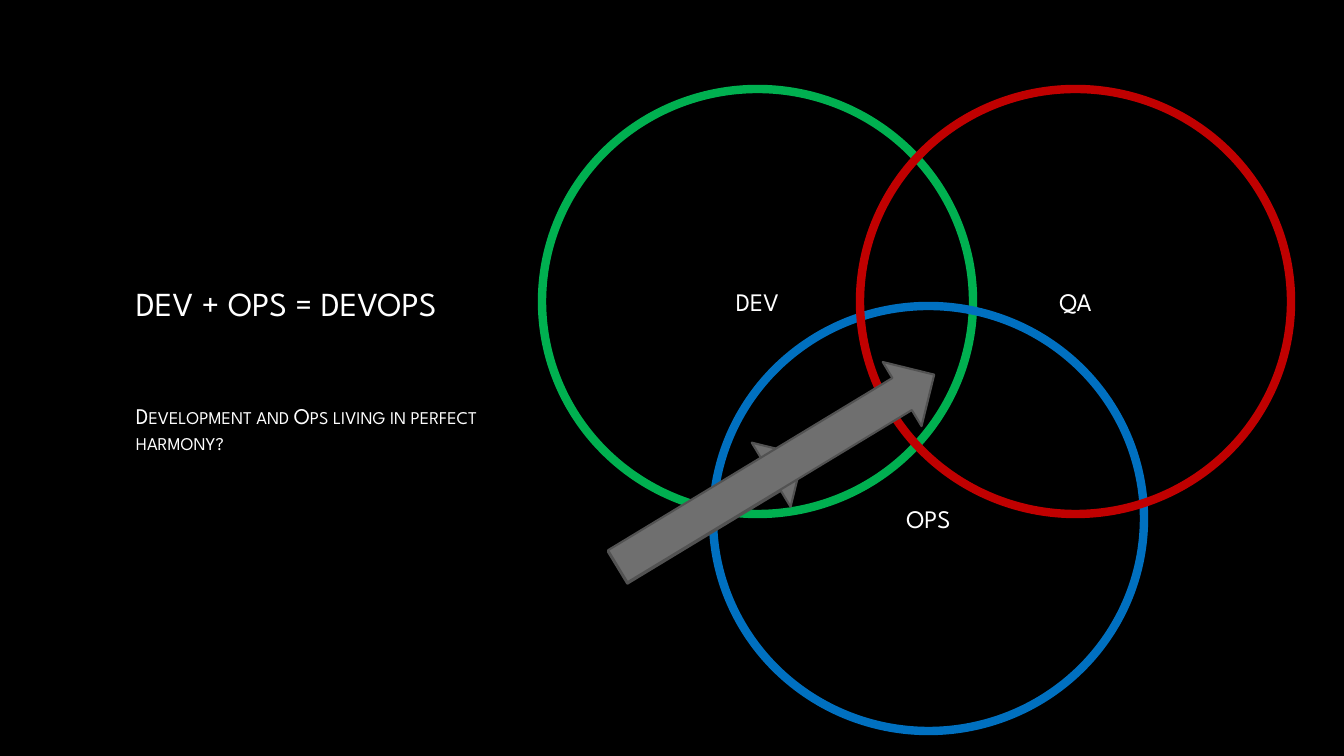
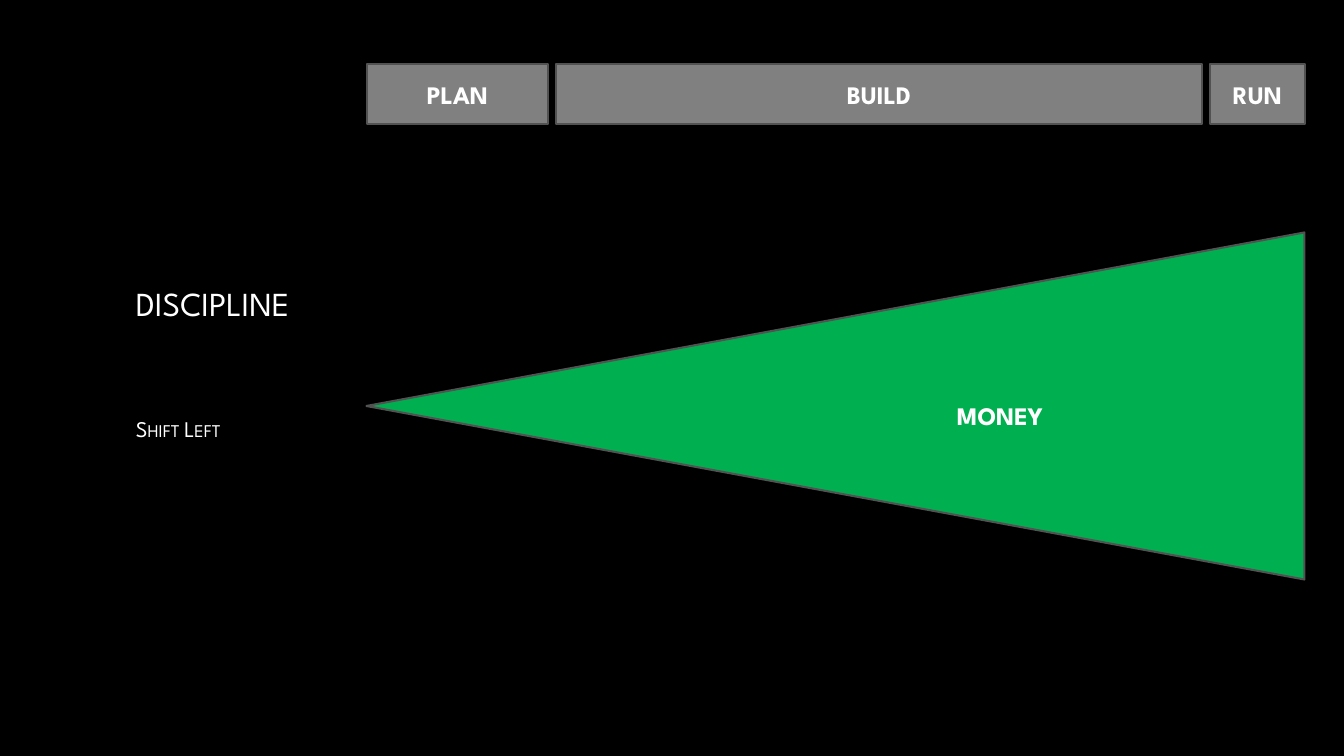
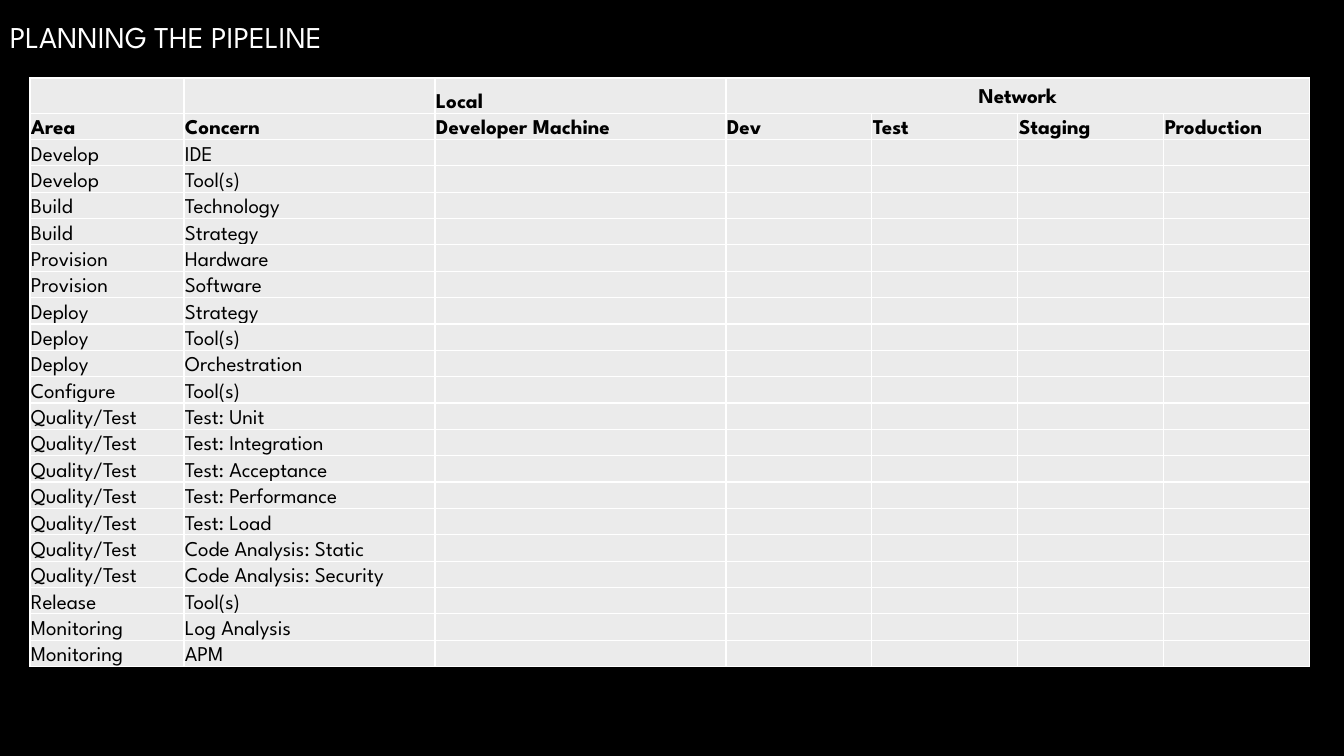
from lxml import etree
from pptx import Presentation, util as u
from pptx.dml.color import RGBColor
from pptx.enum import shapes, text
from pptx.oxml.ns import qn

PX = 914400 / 100.8  # EMU per px
FONT = "League Spartan"
WHITE, BLACK = "FFFFFF", "000000"
GREEN, BLUE, RED = "00B050", "0070C0", "C00000"
GRAY, ARROW_GRAY, OUTLINE, CELL_GRAY = "808080", "6F6F6F", "525252", "EBEBEB"

SHAPE = shapes.MSO_SHAPE
ANCHOR = text.MSO_ANCHOR
ALIGN = text.PP_ALIGN

COLUMNS = [154, 251, 291, 146, 146, 146, 146]
HEADINGS = [
    ["", "", "Local", "Network"],
    ["Area", "Concern", "Developer Machine", "Dev", "Test", "Staging", "Production"],
]
CONCERNS = {
    "Develop": ["IDE", "Tool(s)"],
    "Build": ["Technology", "Strategy"],
    "Provision": ["Hardware", "Software"],
    "Deploy": ["Strategy", "Tool(s)", "Orchestration"],
    "Configure": ["Tool(s)"],
    "Quality/Test": ["Test: Unit", "Test: Integration", "Test: Acceptance",
                     "Test: Performance", "Test: Load",
                     "Code Analysis: Static", "Code Analysis: Security"],
    "Release": ["Tool(s)"],
    "Monitoring": ["Log Analysis", "APM"],
}


def px(n):
    return u.Emu(round(n * PX))


def rgb(value):
    return RGBColor.from_string(value)


def write(tf, words, size, color=WHITE, bold=False, align=ALIGN.LEFT):
    p = tf.paragraphs[0]
    p.text = words
    p.alignment = align
    p.font.name = FONT
    p.font.size = u.Pt(size)
    p.font.bold = bold
    p.font.color.rgb = rgb(color)
    return p


def add_text(s, box, words, size, anchor=ANCHOR.TOP, wrap=True, bold=False):
    tf = s.shapes.add_textbox(*map(px, box)).text_frame
    tf.word_wrap = wrap
    tf.vertical_anchor = anchor
    return write(tf, words, size, bold=bold)


def add_title(s, words, box=(126, 176, 391, 152), size=24):
    add_text(s, box, words, size, ANCHOR.BOTTOM)


def add_subtitle(s, words):
    p = add_text(s, (126, 328, 391, 201), words, 16, ANCHOR.MIDDLE)
    p.line_spacing = u.Pt(19.2)
    p._p.get_or_add_pPr().get_or_add_defRPr().set("cap", "small")


def add_shape(s, kind, box, fill=None, line=OUTLINE, width=1.5, rotation=0,
              label=None, bold=False):
    sp = s.shapes.add_shape(kind, *map(px, box))
    sp.shadow.inherit = False
    sp.rotation = rotation
    if fill:
        sp.fill.solid()
        sp.fill.fore_color.rgb = rgb(fill)
    else:
        sp.fill.background()
    sp.line.color.rgb = rgb(line)
    sp.line.width = u.Pt(width)
    if label:
        sp.text_frame.vertical_anchor = ANCHOR.MIDDLE
        write(sp.text_frame, label, 18, bold=bold, align=ALIGN.CENTER)


def add_circle(s, x, y, label, color):
    add_shape(s, SHAPE.OVAL, (x, y, 431, 425), line=color, width=6, label=label)


def add_arrow(s, x, y, length):
    add_shape(s, SHAPE.RIGHT_ARROW, (x, y, length, 75), ARROW_GRAY, rotation=328.8)


def set_borders(cell, color):
    tcPr = cell._tc.get_or_add_tcPr()
    for i, side in enumerate(("lnL", "lnR", "lnT", "lnB")):
        ln = etree.Element(qn(f"a:{side}"), w=str(u.Pt(1)))
        fill = etree.SubElement(ln, qn("a:solidFill"))
        etree.SubElement(fill, qn("a:srgbClr"), val=color)
        tcPr.insert(i, ln)


def style_cell(cell, insets=(1, 1, 1, 0)):
    cell.fill.solid()
    cell.fill.fore_color.rgb = rgb(CELL_GRAY)
    set_borders(cell, WHITE)
    cell.vertical_anchor = ANCHOR.BOTTOM
    (cell.margin_left, cell.margin_top,
     cell.margin_right, cell.margin_bottom) = map(px, insets)


def add_pipeline_table(s, x, y, height, top_row=30):
    rows = HEADINGS + [[area, concern] for area, concerns in CONCERNS.items()
                       for concern in concerns]
    frame = s.shapes.add_table(len(rows), len(COLUMNS), px(x), px(y),
                               px(sum(COLUMNS)), px(height))
    table = frame.table
    table.first_row = table.horz_banding = False
    for column, width in zip(table.columns, COLUMNS):
        column.width = px(width)
    for i, row in enumerate(table.rows):
        row.height = px((height - top_row) / (len(rows) - 1) if i else top_row)
        for j, cell in enumerate(row.cells):
            network = i == 0 and j >= 3
            style_cell(cell, (11, 5, 11, 5) if network else (1, 1, 1, 0))
            words = rows[i][j] if j < len(rows[i]) else ""
            if words:
                write(cell.text_frame, words, 15, BLACK, i < len(HEADINGS),
                      ALIGN.CENTER if network else ALIGN.LEFT)
            else:
                # Keeps an empty cell from stretching its row
                end = cell.text_frame.paragraphs[0]._p.get_or_add_endParaRPr()
                end.set("sz", "1000")
    table.cell(0, 3).merge(table.cell(0, 6))


def devops_slide(s):
    add_title(s, "DEV + OPS = DEVOPS")
    add_subtitle(s, "Development and Ops living in perfect harmony?")
    add_circle(s, 542, 89, "DEV", GREEN)
    add_circle(s, 713, 306, "OPS", BLUE)
    add_arrow(s, 602, 474, 217)
    add_circle(s, 860, 89, "QA", RED)
    add_arrow(s, 591, 433, 370)


def discipline_slide(s):
    add_title(s, "DISCIPLINE")
    add_subtitle(s, "Shift Left")
    add_shape(s, SHAPE.ISOSCELES_TRIANGLE, (662, -63, 347, 938), GREEN, rotation=270)
    x, gap = 367, 8
    for label, width in (("PLAN", 181), ("BUILD", 646), ("RUN", 95)):
        add_shape(s, SHAPE.RECTANGLE, (x, 64, width, 60), GRAY, label=label, bold=True)
        x += width + gap
    add_text(s, (947, 395, 113, 40), "MONEY", 18, wrap=False, bold=True)


def pipeline_slide(s):
    add_title(s, "PLANNING THE PIPELINE", (0, 0, 391, 59), 21.6)
    add_pipeline_table(s, 30, 78, 584)


def main():
    prs = Presentation()
    prs.slide_width, prs.slide_height = px(1344), px(756)
    background = prs.slide_master.background.fill
    background.solid()
    background.fore_color.rgb = rgb(BLACK)
    for build in (devops_slide, discipline_slide, pipeline_slide):
        build(prs.slides.add_slide(prs.slide_layouts[6]))
    prs.save("out.pptx")


if __name__ == "__main__":
    main()
